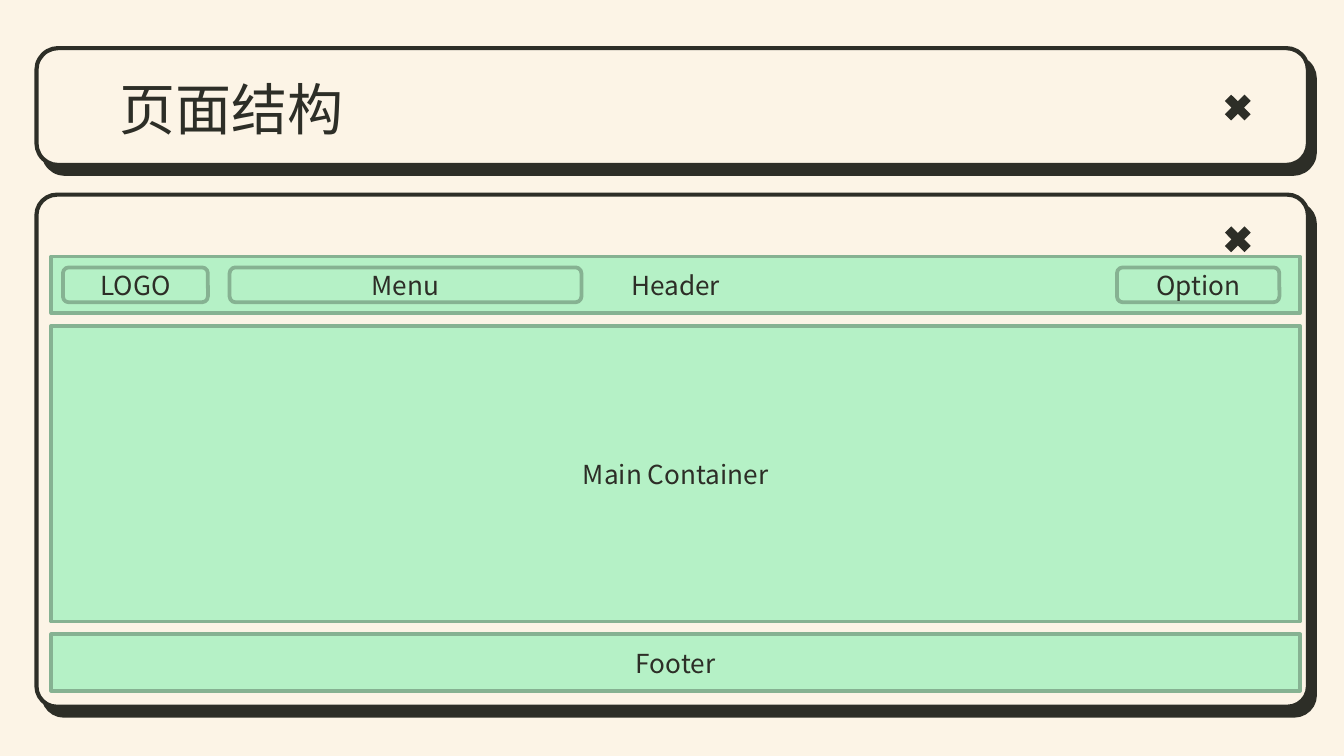
from lxml import etree
from pptx import Presentation, util as u
from pptx.dml.color import RGBColor
from pptx.enum import shapes, text
from pptx.oxml import ns

CREAM = RGBColor(0xFC, 0xF4, 0xE6)
INK = RGBColor(0x2D, 0x2E, 0x27)
MINT = RGBColor(0xB5, 0xF1, 0xC6)
SAGE = RGBColor(0x86, 0xB2, 0x92)

TITLE = "页面结构"
WINDOWS = [
    {"top": 3.68, "height": 9.68, "corner": 0.04, "cross_top": 4.17},
    {"top": 0.91, "height": 2.21, "corner": 0.186, "cross_top": 1.68},
]
BANDS = [("Header", 1.07), ("Main Container", 5.59), ("Footer", 1.07)]
HEADER_ITEMS = [("LOGO", 1.19, 2.74), ("Menu", 4.34, 6.65), ("Option", 21.11, 3.07)]

WINDOW_LEFT, WINDOW_WIDTH = 0.69, 24.03
CROSS_LEFT, CROSS_SIZE = 23.04, 0.71
BAND_LEFT, BAND_TOP, BAND_WIDTH, BAND_GAP = 0.97, 4.85, 23.6, 0.24
ITEM_HEIGHT = 0.66


def add_shape(slide, kind, box, fill, line=None, weight=0):
    shape = slide.shapes.add_shape(kind, *map(u.Cm, box))
    shape.shadow.inherit = False
    shape.fill.solid()
    shape.fill.fore_color.rgb = fill
    if line is None:
        shape.line.fill.background()
    else:
        shape.line.color.rgb = line
        shape.line.width = u.Pt(weight)
    return shape


def add_hard_shadow(shape):
    effects = shape.element.spPr.find(ns.qn("a:effectLst"))
    shadow = etree.SubElement(
        effects, ns.qn("a:outerShdw"), dist=str(u.Pt(6)),
        dir=str(52 * 60000), algn="bl", rotWithShape="0")
    etree.SubElement(shadow, ns.qn("a:srgbClr"), val=str(INK))


def write(shape, words, font, size, align):
    frame = shape.text_frame
    frame.word_wrap = True
    frame.auto_size = text.MSO_AUTO_SIZE.NONE
    frame.vertical_anchor = text.MSO_ANCHOR.MIDDLE
    paragraph = frame.paragraphs[0]
    paragraph.alignment = align
    run = paragraph.add_run()
    run.text = words
    run.font.name = font
    run.font.size = u.Pt(size)
    run.font.color.rgb = INK


def add_block(slide, kind, box, label):
    block = add_shape(slide, kind, box, MINT, SAGE, 2)
    write(block, label, "Noto Sans CJK SC", 14, text.PP_ALIGN.CENTER)


def add_window(slide, window):
    box = (WINDOW_LEFT, window["top"], WINDOW_WIDTH, window["height"])
    frame = add_shape(slide, shapes.MSO_SHAPE.ROUNDED_RECTANGLE, box, CREAM, INK, 2.25)
    frame.adjustments[0] = window["corner"]
    add_hard_shadow(frame)
    cross_box = (CROSS_LEFT, window["cross_top"], CROSS_SIZE, CROSS_SIZE)
    add_shape(slide, shapes.MSO_SHAPE.MATH_MULTIPLY, cross_box, INK)


def place_title(slide):
    title = slide.shapes.title
    title.element.getparent().append(title.element)
    title.left, title.top, title.width, title.height = map(u.Cm, (2.01, 1.24, 21.41, 1.6))
    frame = title.text_frame
    frame.margin_left = frame.margin_right = u.Cm(0.25)
    frame.margin_top = frame.margin_bottom = u.Cm(0.25)
    write(title, TITLE, "Lato", 30, text.PP_ALIGN.LEFT)


def main():
    presentation = Presentation()
    presentation.slide_width, presentation.slide_height = u.Cm(25.4), u.Cm(14.29)
    slide = presentation.slides.add_slide(presentation.slide_layouts[5])
    slide.background.fill.solid()
    slide.background.fill.fore_color.rgb = CREAM

    for window in WINDOWS:
        add_window(slide, window)
    place_title(slide)

    top = BAND_TOP
    for label, height in BANDS:
        add_block(slide, shapes.MSO_SHAPE.RECTANGLE, (BAND_LEFT, top, BAND_WIDTH, height), label)
        top += height + BAND_GAP

    item_top = BAND_TOP + (BANDS[0][1] - ITEM_HEIGHT) / 2
    for label, left, width in HEADER_ITEMS:
        add_block(slide, shapes.MSO_SHAPE.ROUNDED_RECTANGLE, (left, item_top, width, ITEM_HEIGHT), label)

    presentation.save("out.pptx")


if __name__ == "__main__":
    main()
